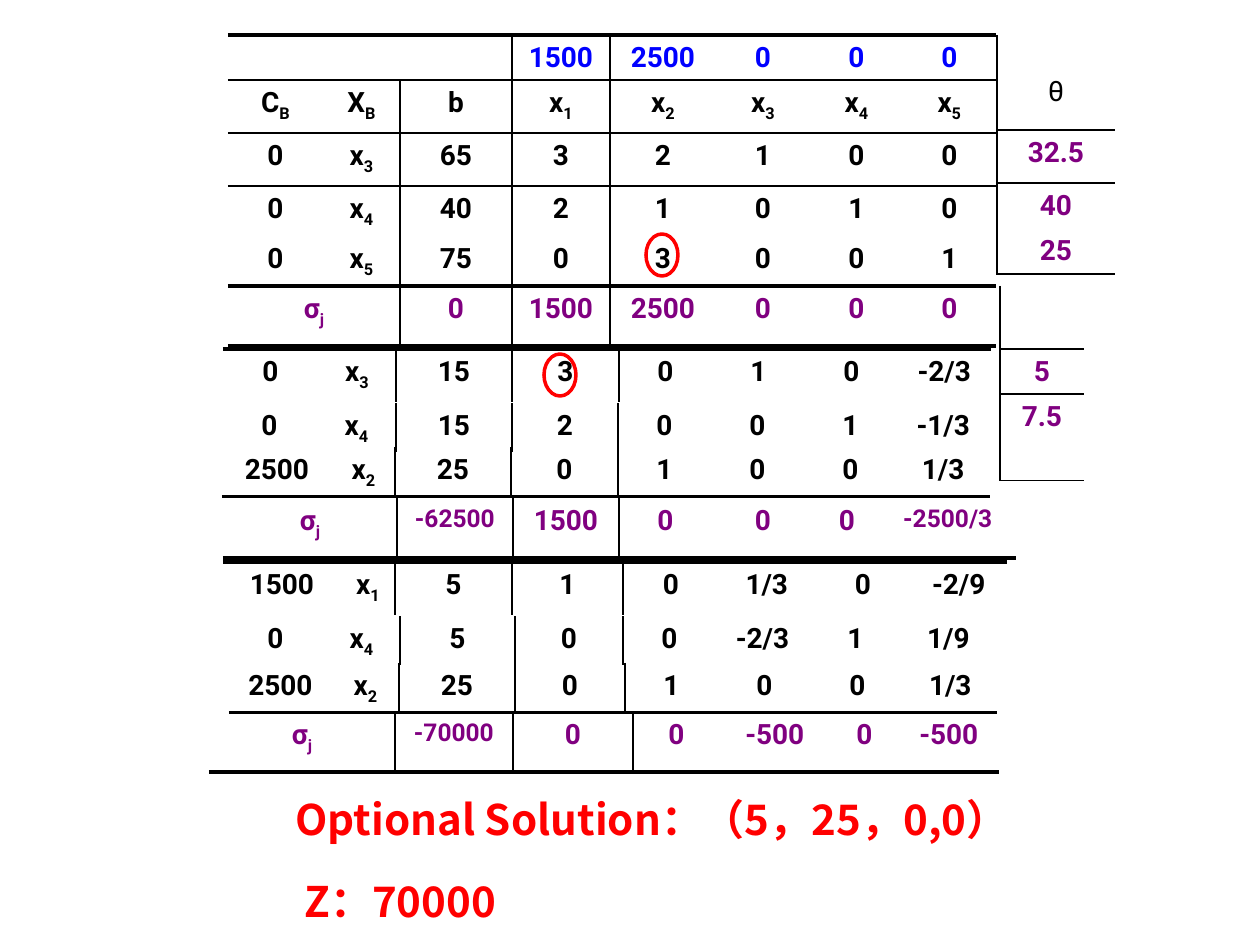
from lxml import etree
from pptx import Presentation
from pptx import util as u
from pptx.dml.color import RGBColor
from pptx.enum import shapes, text
from pptx.oxml.ns import qn

SCALE = 914400 // 126  # EMU per px
BLACK = RGBColor(0, 0, 0)
BLUE = RGBColor(0, 0, 255)
PURPLE = RGBColor(128, 0, 128)
RED = RGBColor(255, 0, 0)
PLAIN_STYLE = "{2D5ABB26-0587-4C30-8999-92F81FD0307C}"
THIN, THICK = 1, 2.25


def px(*lengths):
    return [u.Emu(length * SCALE) for length in lengths]


def draw_border(cell, side, width):
    props = cell._tc.get_or_add_tcPr()
    line = etree.SubElement(props, qn("a:ln" + side), w=str(u.Pt(width)))
    fill = etree.SubElement(line, qn("a:solidFill"))
    etree.SubElement(fill, qn("a:srgbClr"), val=str(BLACK))


class Board:
    """Holds the style and the current slide."""

    table_font = "Roboto"
    note_font = "Noto Sans CJK SC"

    def __init__(self, page):
        self.page = page

    def span(self, para, words, ink, size, font):
        span = para.add_run()
        span.text = words
        for name, value in {"name": font, "size": u.Pt(size), "bold": True}.items():
            setattr(span.font, name, value)
        span.font.color.rgb = ink
        return span

    def fill_cell(self, cell, value, ink):
        """Write a value; what follows an underscore becomes a subscript."""
        if not value:
            cell.margin_top = cell.margin_bottom = 0
            return
        para = cell.text_frame.paragraphs[0]
        para.alignment = text.PP_ALIGN.CENTER
        space = etree.SubElement(para._p.get_or_add_pPr(), qn("a:spcBef"))
        etree.SubElement(space, qn("a:spcPct"), val="20000")
        size = 14 if len(value) > 5 else 16
        for index, part in enumerate(value.split("_")):
            span = self.span(para, part, ink, size, self.table_font)
            if index:
                span.font._element.set("baseline", "-25000")

    def table(self, left, top, widths, heights, rows, lines, walls, inks):
        """lines maps a row edge to its width; walls lists column edges."""
        frame = self.page.shapes.add_table(
            len(rows), len(widths), *px(left, top, sum(widths), sum(heights)))
        table = frame.table
        table.first_row = table.horz_banding = False
        table._tbl.tblPr.find(qn("a:tableStyleId")).text = PLAIN_STYLE
        for column, width in zip(table.columns, px(*widths)):
            column.width = width
        for row, height in zip(table.rows, px(*heights)):
            row.height = height
        if rows[0].startswith(",,,"):
            table.cell(0, 0).merge(table.cell(0, 2))
        for r, (row, ink) in enumerate(zip(rows, inks)):
            for c, value in enumerate(row.split(",")):
                cell = table.cell(r, c)
                if cell.is_spanned:
                    continue
                self.fill_cell(cell, value, ink)
                edges = {"L": THIN if c in walls else 0,
                         "R": THIN if c + 1 in walls else 0,
                         "T": lines.get(r), "B": lines.get(r + 1)}
                for side, width in edges.items():
                    if width:
                        draw_border(cell, side, width)
                cell.fill.background()
        return table

    def ring(self, left, top):
        ring = self.page.shapes.add_shape(
            shapes.MSO_SHAPE.OVAL, *px(left, top, 32, 42))
        ring.shadow.inherit = False
        ring.fill.background()
        ring.line.color.rgb = RED
        ring.line.width = u.Pt(2)

    def note(self, left, top, width, words):
        box = self.page.shapes.add_textbox(*px(left, top, width, 63))
        box.text_frame.word_wrap = True
        span = self.span(box.text_frame.paragraphs[0], words, RED, 24, self.note_font)
        etree.SubElement(span.font._element, qn("a:ea"), typeface=self.note_font)


# left, top, column widths, height, values, edge lines, ink
STRIPS = [
    (228, 286, [172, 112, 98, 106, 94, 93, 93], 60,
     "σ_j,0,1500,2500,0,0,0", {1: THICK}, PURPLE),
    (223, 349, [95, 78, 116, 107] + [93] * 4, 53,
     "0,x_3,15,3,0,1,0,-2/3", {0: THICK}, BLACK),
    (222, 403, [95, 79, 116, 106] + [93] * 4, 47,
     "0,x_4,15,2,0,0,1,-1/3", {}, BLACK),
    (222, 447, [110, 63, 116, 107] + [93] * 4, 49,
     "2500,x_2,25,0,1,0,0,1/3", {1: THICK}, BLACK),
    (223, 498, [174, 116, 106, 93, 102, 66, 136], 60,
     "σ_j,-62500,1500,0,0,0,-2500/3", {1: THICK}, PURPLE),
    (223, 562, [118, 54, 117, 111] + [96] * 4, 53,
     "1500,x_1,5,1,0,1/3,0,-2/9", {0: THICK}, BLACK),
    (228, 616, [95, 77, 115, 108] + [93] * 4, 47,
     "0,x_4,5,0,0,-2/3,1,1/9", {}, BLACK),
    (229, 663, [103, 67, 116, 110] + [93] * 4, 49,
     "2500,x_2,25,0,1,0,0,1/3", {1: THICK}, BLACK),
    (209, 712, [186, 118, 120, 87, 110, 69, 100], 60,
     "σ_j,-70000,0,0,-500,0,-500", {1: THICK}, PURPLE),
]


def main():
    deck = Presentation()
    deck.slide_width, deck.slide_height = u.Inches(10), u.Inches(7.5)
    board = Board(deck.slides.add_slide(deck.slide_layouts[6]))

    board.table(
        228, 35, [95, 77, 112, 98, 106, 94, 93, 93], [44, 53, 53, 50, 50],
        [",,,1500,2500,0,0,0", "C_B,X_B,b,x_1,x_2,x_3,x_4,x_5",
         "0,x_3,65,3,2,1,0,0", "0,x_4,40,2,1,0,1,0", "0,x_5,75,0,3,0,0,1"],
        {0: THICK, 1: THIN, 2: THIN, 5: THICK}, (2, 3), [BLUE] + [BLACK] * 4)
    for left, top, widths, height, row, lines, ink in STRIPS:
        first_wall = len(widths) - 6
        board.table(left, top, widths, [height], [row], lines,
                    (first_wall, first_wall + 1), [ink])

    ratios = board.table(997, 35, [118], [95, 53, 42, 46], ["θ", "32.5", "40", "25"],
                         {1: THIN, 4: THIN}, (0,), [BLACK] + [PURPLE] * 3)
    heading = ratios.cell(0, 0)
    heading.margin_top = px(41)[0]
    heading.text_frame.paragraphs[0].runs[0].font.bold = False
    board.table(1000, 286, [84], [63, 45, 45, 41], ["", "5", "7.5", ""],
                {1: THIN, 4: THIN}, (0,), [PURPLE] * 4)

    board.ring(646, 234)
    board.ring(544, 354)
    board.note(283, 787, 842, "Optional Solution：（5，25，0,0）")
    board.note(292, 869, 529, "Z：70000")
    deck.save("out.pptx")


if __name__ == "__main__":
    main()
